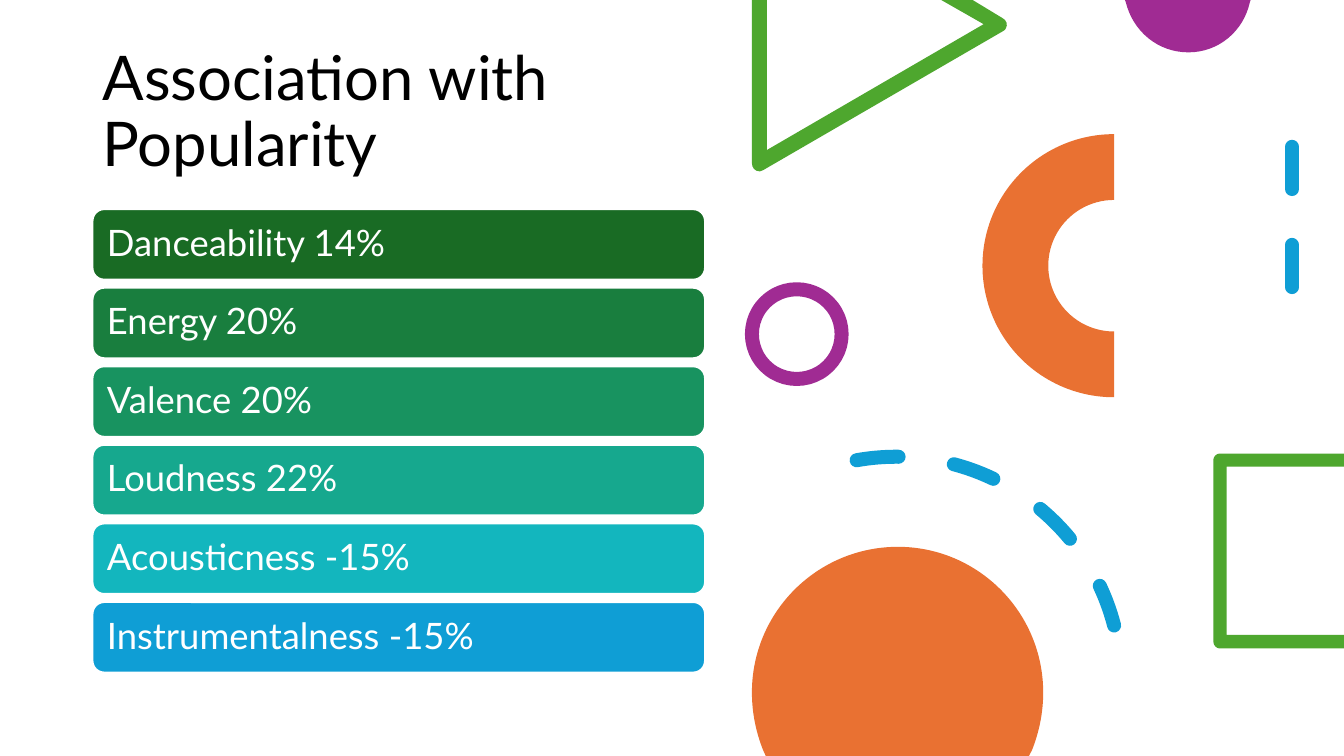
from lxml.etree import SubElement
from pptx import Presentation
from pptx.dml.color import RGBColor
from pptx.enum.dml import MSO_LINE
from pptx.enum.shapes import MSO_CONNECTOR, MSO_SHAPE
from pptx.enum.text import MSO_ANCHOR, MSO_AUTO_SIZE, PP_ALIGN
from pptx.oxml.ns import qn
from pptx.util import Cm, Pt

FONT = "Lato"
BLACK = RGBColor(0x00, 0x00, 0x00)
WHITE = RGBColor(0xFF, 0xFF, 0xFF)
PURPLE = RGBColor(0xA0, 0x2B, 0x93)
ORANGE = RGBColor(0xE9, 0x71, 0x32)
GREEN = RGBColor(0x4E, 0xA7, 0x2E)
BLUE = RGBColor(0x0F, 0x9E, 0xD5)

FEATURES = [
    ("Danceability 14%", RGBColor(0x19, 0x6B, 0x24)),
    ("Energy 20%", RGBColor(0x19, 0x7E, 0x3E)),
    ("Valence 20%", RGBColor(0x18, 0x93, 0x60)),
    ("Loudness 22%", RGBColor(0x16, 0xA8, 0x8E)),
    ("Acousticness -15%", RGBColor(0x13, 0xB6, 0xBE)),
    ("Instrumentalness -15%", BLUE),
]


def add_outline(start, segments, color):
    """Add a filled outline in cm: one point is a line, three points are a curve."""
    points = [(Cm(x), Cm(y)) for segment in segments for x, y in segment]
    builder = slide.shapes.build_freeform(Cm(start[0]), Cm(start[1]))
    builder.add_line_segments(points, close=True)
    shape = builder.convert_to_shape()
    shape.shadow.inherit = False
    shape.fill.solid()
    shape.fill.fore_color.rgb = color
    shape.line.fill.background()

    # Merge the three lines of each curve into one Bézier segment
    outline = shape._element.spPr.find(".//" + qn("a:path"))
    lines = iter(outline.findall(qn("a:lnTo")))
    for segment in segments:
        first, *others = [next(lines) for _ in segment]
        if others:
            first.tag = qn("a:cubicBezTo")
        for other in others:
            first.append(other[0])
            outline.remove(other)


presentation = Presentation()
presentation.slide_width = Cm(33.87)
presentation.slide_height = Cm(19.05)
slide = presentation.slides.add_slide(presentation.slide_layouts[5])

# Title
title = slide.shapes.title
title.left, title.top, title.width, title.height = Cm(2.33), Cm(1.02), Cm(15.44), Cm(3.68)
title.text_frame.word_wrap = True
title.text_frame.auto_size = MSO_AUTO_SIZE.NONE
title.text_frame.vertical_anchor = MSO_ANCHOR.MIDDLE
paragraph = title.text_frame.paragraphs[0]
paragraph.alignment = PP_ALIGN.LEFT
paragraph.line_spacing = 0.9
run = paragraph.add_run()
run.text = "Association with Popularity"
run.font.name = FONT
run.font.size = Pt(44)
run.font.color.rgb = BLACK

# Purple disc cut by the top edge
add_outline(
    (28.35, 0),
    [
        [(31.52, 0)],
        [(31.5, 0.05)],
        [(31.34, 0.79), (30.71, 1.32), (29.95, 1.32)],
        [(29.18, 1.32), (28.55, 0.79), (28.37, 0.05)],
    ],
    PURPLE,
)

# Feature bars
for row, (label, color) in enumerate(FEATURES):
    bar = slide.shapes.add_shape(
        MSO_SHAPE.ROUNDED_RECTANGLE, Cm(2.33), Cm(5.27 + 1.98 * row), Cm(15.44), Cm(1.78)
    )
    bar.shadow.inherit = False
    bar.fill.solid()
    bar.fill.fore_color.rgb = color
    bar.line.color.rgb = WHITE
    bar.line.width = Pt(1.5)
    frame = bar.text_frame
    frame.word_wrap = True
    frame.vertical_anchor = MSO_ANCHOR.MIDDLE
    frame.margin_left = frame.margin_right = Cm(0.28)
    frame.margin_top = frame.margin_bottom = Cm(0.28)
    paragraph = frame.paragraphs[0]
    paragraph.alignment = PP_ALIGN.LEFT
    paragraph.line_spacing = 0.9
    run = paragraph.add_run()
    run.text = label
    run.font.name = FONT
    run.font.size = Pt(26)
    run.font.color.rgb = WHITE

# Purple ring
ring = slide.shapes.add_shape(MSO_SHAPE.OVAL, Cm(18.95), Cm(7.29), Cm(2.26), Cm(2.26))
ring.shadow.inherit = False
ring.fill.background()
ring.line.color.rgb = PURPLE
ring.line.width = Pt(10)

# Orange half ring
half_ring = slide.shapes.add_shape(MSO_SHAPE.BLOCK_ARC, Cm(24.76), Cm(3.38), Cm(6.63), Cm(6.63))
half_ring.rotation = 270
half_ring.shadow.inherit = False
half_ring.fill.solid()
half_ring.fill.fore_color.rgb = ORANGE
half_ring.line.fill.background()

# Green triangle frame with rounded corners, cut by the top edge
add_outline(
    (18.95, 0),
    [
        [(19.33, 0)],
        [(19.33, 3.78)],
        [(24.79, 0.61)],
        [(23.72, 0)],
        [(24.51, 0)],
        [(25.27, 0.46)],
        [(25.37, 0.51), (25.4, 0.63), (25.35, 0.71)],
        [(25.35, 0.74), (25.32, 0.76), (25.27, 0.79)],
        [(19.23, 4.29)],
        [(19.2, 4.29), (19.18, 4.32), (19.15, 4.32)],
        [(19.02, 4.32), (18.95, 4.22), (18.95, 4.11)],
    ],
    GREEN,
)

# Blue dashed line
dashed_line = slide.shapes.add_connector(
    MSO_CONNECTOR.STRAIGHT, Cm(32.56), Cm(3.7), Cm(32.56), Cm(8.13)
)

# Green square frame with rounded corners, cut by the right edge
add_outline(
    (30.73, 11.43),
    [
        [(33.87, 11.43)],
        [(33.87, 11.76)],
        [(30.91, 11.76)],
        [(30.91, 16)],
        [(33.87, 16)],
        [(33.87, 16.34)],
        [(30.73, 16.34)],
        [(30.66, 16.34), (30.58, 16.26), (30.58, 16.18)],
        [(30.58, 11.58)],
        [(30.58, 11.51), (30.66, 11.43), (30.73, 11.43)],
    ],
    GREEN,
)

# Blue dashed arc
dashed_arc = slide.shapes.add_shape(MSO_SHAPE.ARC, Cm(16.91), Cm(11.51), Cm(11.35), Cm(11.35))
dashed_arc.rotation = 349.9
dashed_arc.fill.background()

# Round dashes without shadow
for shape in (dashed_line, dashed_arc):
    shape.line.color.rgb = BLUE
    shape.line.width = Pt(10)
    shape.line.dash_style = MSO_LINE.DASH
    properties = shape._element.spPr
    properties.find(qn("a:ln")).set("cap", "rnd")
    SubElement(properties, qn("a:effectLst"))

# Orange disc cut by the bottom edge
add_outline(
    (22.63, 13.78),
    [
        [(24.64, 13.78), (26.29, 15.42), (26.29, 17.45)],
        [(26.29, 17.96), (26.19, 18.44), (26.01, 18.9)],
        [(25.93, 19.05)],
        [(19.3, 19.05)],
        [(19.23, 18.9)],
        [(19.05, 18.44), (18.95, 17.96), (18.95, 17.45)],
        [(18.95, 15.42), (20.6, 13.78), (22.63, 13.78)],
    ],
    ORANGE,
)

presentation.save("out.pptx")
